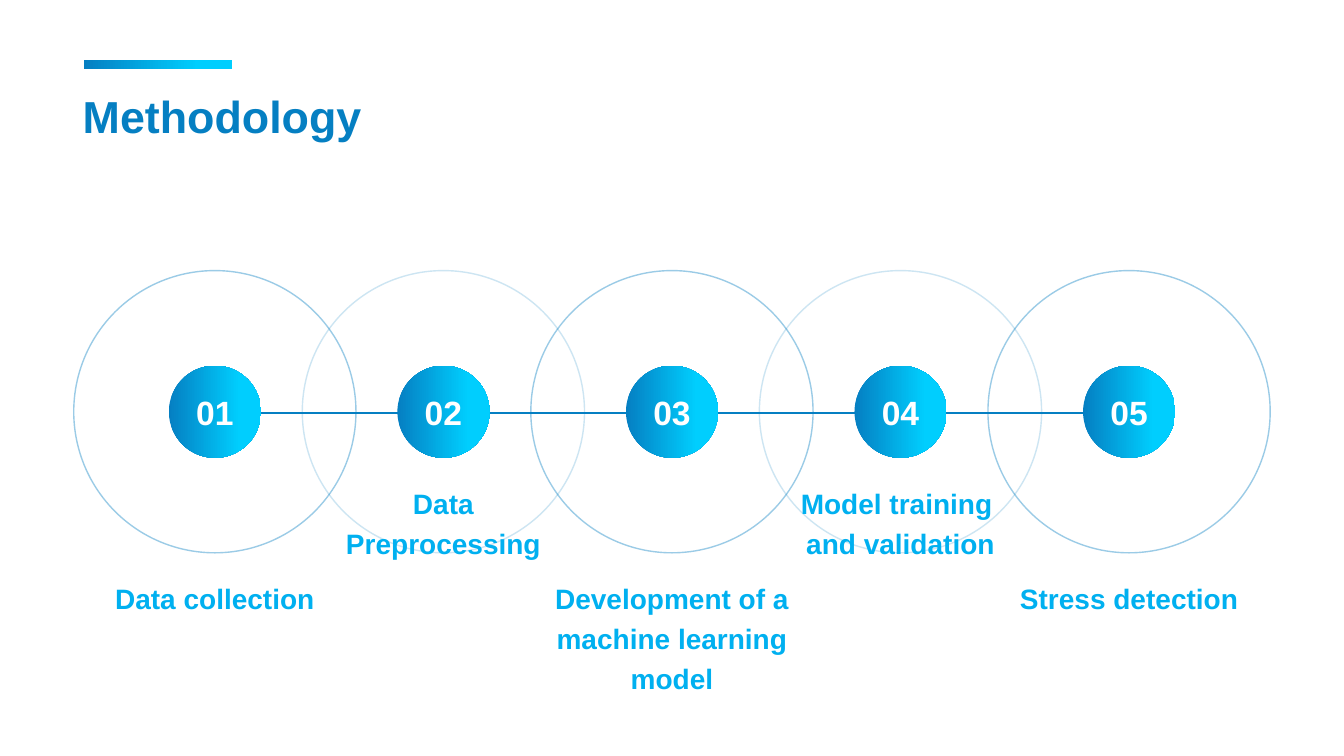
from dataclasses import dataclass

from lxml import etree
from pptx import Presentation
from pptx import util as u
from pptx.dml.color import RGBColor
from pptx.enum import shapes, text
from pptx.oxml import ns
from pptx.shapes.autoshape import Shape
from pptx.slide import Slide

BLUE = RGBColor(0x05, 0x7F, 0xC2)
CYAN = RGBColor(0x00, 0xCE, 0xFE)
SKY = RGBColor(0x00, 0xB0, 0xF0)
WHITE = RGBColor(0xFF, 0xFF, 0xFF)

FONT = "Arial"
SLIDE_WIDTH, SLIDE_HEIGHT = 960, 540
STEP_PITCH = 163.25
RING_SIZE, DOT_SIZE = 201.6, 65.8
CENTER_Y = 294.1
LINE_Y = 295.2
UPPER_LABEL_TOP, LOWER_LABEL_TOP = 339, 406.8


@dataclass(frozen=True)
class Step:
    number: str
    label: str
    center_x: float
    label_top: float
    label_height: float
    ring_opacity: int


LABELS = [
    ("Data collection", 36),
    ("Data Preprocessing", 65.5),
    ("Development of a machine learning model", 94.3),
    ("Model training \nand validation", 65.5),
    ("Stress detection", 36),
]

STEPS = [
    Step(
        number=f"{index + 1:02}",
        label=label,
        center_x=SLIDE_WIDTH / 2 + (index - 2) * STEP_PITCH,
        label_top=UPPER_LABEL_TOP if index % 2 else LOWER_LABEL_TOP,
        label_height=height,
        ring_opacity=20 if index % 2 else 40,
    )
    for index, (label, height) in enumerate(LABELS)
]


def style_text(shape: Shape, content: str, size: float, color: RGBColor,
               alignment: text.PP_ALIGN, line_spacing: float = 1.0) -> None:
    frame = shape.text_frame
    frame.word_wrap = True
    frame.text = content
    for paragraph in frame.paragraphs:
        paragraph.alignment = alignment
        paragraph.line_spacing = line_spacing
        for run in paragraph.runs:
            run.font.name = FONT
            run.font.size = u.Pt(size)
            run.font.bold = True
            run.font.color.rgb = color


def add_text(slide: Slide, content: str, left: float, top: float, width: float,
             height: float, size: float, color: RGBColor,
             alignment: text.PP_ALIGN) -> None:
    shape = slide.shapes.add_textbox(
        u.Pt(left), u.Pt(top), u.Pt(width), u.Pt(height))
    style_text(shape, content, size, color, alignment, 1.2)
    shape.text_frame.auto_size = text.MSO_AUTO_SIZE.SHAPE_TO_FIT_TEXT


def add_gradient_shape(slide: Slide, kind: shapes.MSO_SHAPE, left: float,
                       top: float, width: float, height: float) -> Shape:
    shape = slide.shapes.add_shape(
        kind, u.Pt(left), u.Pt(top), u.Pt(width), u.Pt(height))
    shape.shadow.inherit = False
    shape.line.fill.background()
    shape.fill.gradient()
    shape.fill.gradient_angle = 0
    stops = shape.fill.gradient_stops
    for stop, color, position in zip(stops, (BLUE, CYAN), (0, 0.77)):
        stop.color.rgb = color
        stop.position = position
    return shape


def add_timeline(slide: Slide) -> None:
    line = slide.shapes.add_connector(
        shapes.MSO_CONNECTOR.STRAIGHT,
        u.Pt(130.3), u.Pt(LINE_Y), u.Pt(830.2), u.Pt(LINE_Y))
    line.line.color.rgb = BLUE
    line.line.width = u.Pt(1.25)
    etree.SubElement(line._element.spPr, ns.qn("a:effectLst"))


def add_dot(slide: Slide, step: Step) -> None:
    dot = add_gradient_shape(
        slide, shapes.MSO_SHAPE.OVAL, step.center_x - DOT_SIZE / 2,
        CENTER_Y - DOT_SIZE / 2, DOT_SIZE, DOT_SIZE)
    style_text(dot, step.number, 24, WHITE, text.PP_ALIGN.CENTER)
    dot.text_frame.vertical_anchor = text.MSO_ANCHOR.MIDDLE


def add_ring(slide: Slide, step: Step) -> None:
    ring = slide.shapes.add_shape(
        shapes.MSO_SHAPE.OVAL, u.Pt(step.center_x - RING_SIZE / 2),
        u.Pt(CENTER_Y - RING_SIZE / 2), u.Pt(RING_SIZE), u.Pt(RING_SIZE))
    ring.shadow.inherit = False
    ring.fill.background()
    ring.line.color.rgb = BLUE
    ring.line.width = u.Pt(1)
    color = ring.line._ln.find(".//" + ns.qn("a:srgbClr"))
    alpha = etree.SubElement(color, ns.qn("a:alpha"))
    alpha.set("val", str(step.ring_opacity * 1000))


def add_label(slide: Slide, step: Step) -> None:
    add_text(slide, step.label, step.center_x - RING_SIZE / 2, step.label_top,
             RING_SIZE, step.label_height, 20, SKY, text.PP_ALIGN.CENTER)


def main() -> None:
    presentation = Presentation()
    presentation.slide_width = u.Pt(SLIDE_WIDTH)
    presentation.slide_height = u.Pt(SLIDE_HEIGHT)
    slide = presentation.slides.add_slide(presentation.slide_layouts[6])

    add_text(slide, "Methodology", 52, 52, 400, 54, 32, BLUE, text.PP_ALIGN.LEFT)
    add_gradient_shape(slide, shapes.MSO_SHAPE.RECTANGLE, 60, 42.7, 106, 6.8)
    add_timeline(slide)
    for draw in (add_dot, add_ring, add_label):
        for step in STEPS:
            draw(slide, step)

    presentation.save("out.pptx")


if __name__ == "__main__":
    main()
